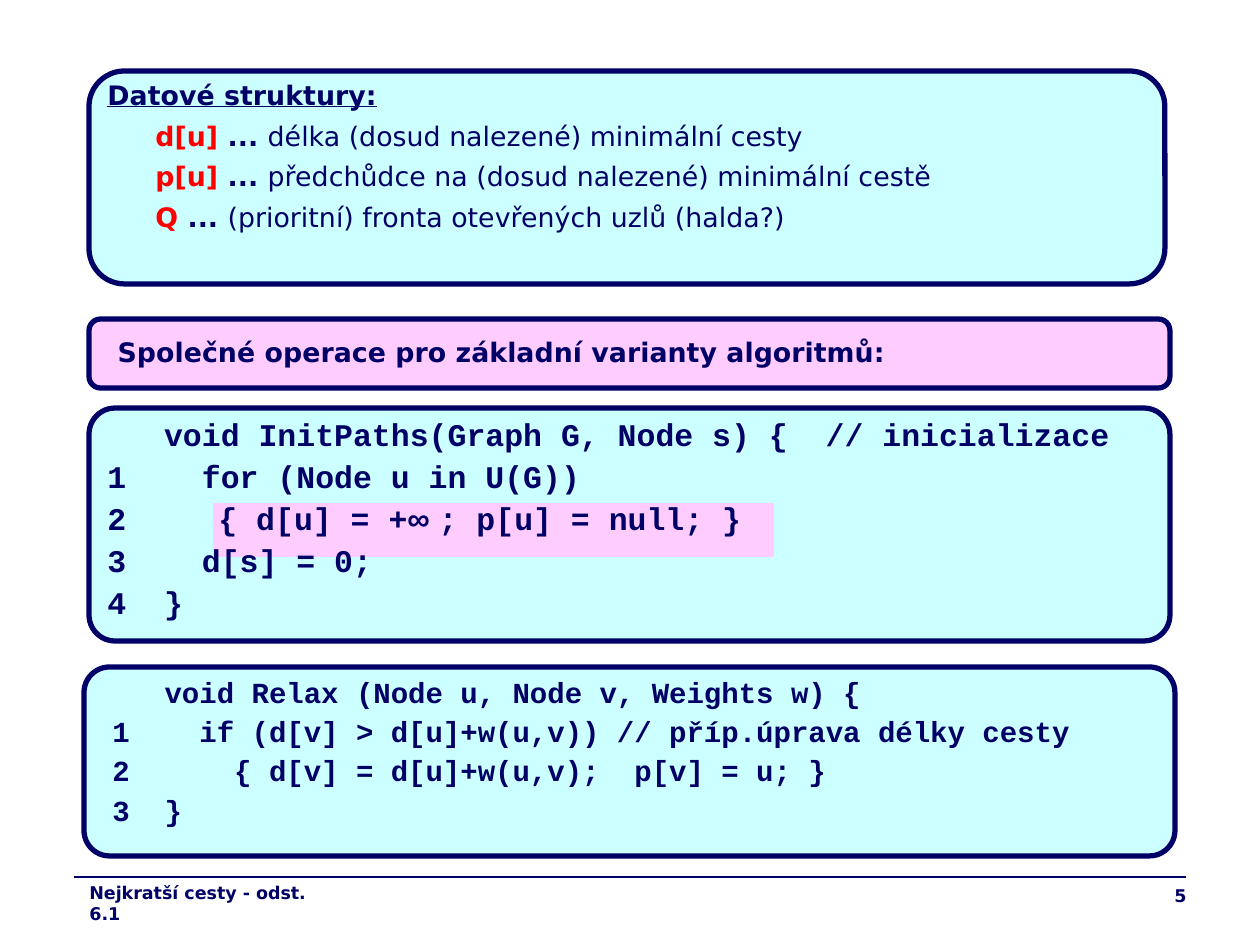
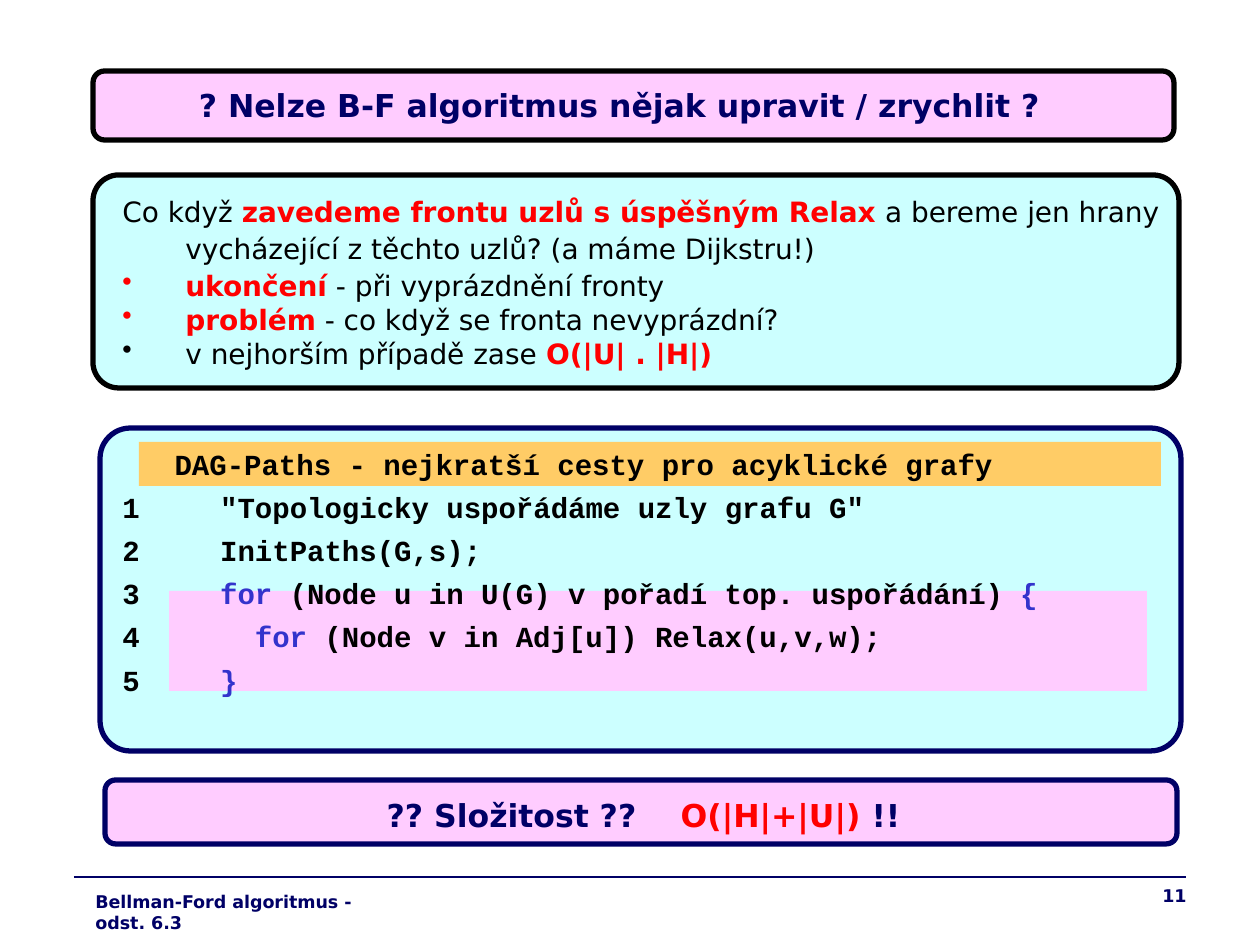
from dataclasses import dataclass
from lxml.etree import SubElement
from pptx import Presentation
from pptx.dml.color import RGBColor
from pptx.enum.shapes import MSO_CONNECTOR as Link, MSO_SHAPE as Shape
from pptx.enum.text import MSO_ANCHOR as Anchor, MSO_AUTO_SIZE as Fit, PP_ALIGN as Align
from pptx.oxml.ns import qn
from pptx.util import Emu, Inches, Pt

PX = 914400 // 126


@dataclass
class Style:
    color: str
    bold: bool = True
    under: bool = False
    font: str = ""
    track: int = 0


class Theme:
    navy, black, red, blue = "000066", "000000", "FF0000", "3333CC"
    cyan, pink, gold = "CCFFFF", "FFCCFF", "FFCC66"
    sans, mono = "DejaVu Sans", "Courier New"
    small, body, text, code, large = 10, 15.3, 16, 16.6, 18
    edge, rule = 3, 0.75
    styles = {
        "navy": Style(navy),
        "soft": Style(navy, bold=False),
        "head": Style(navy, under=True),
        "sign": Style(navy, font="Arial"),
        "gap": Style(navy, track=1900),
        "red": Style(red),
        "black": Style(black),
        "plain": Style(black, bold=False),
        "blue": Style(blue),
    }


RULE = (74, 877, 1186, 877)
NUMBER = (937, 879, 262, 45)

# box: place, fill, edge colour, corner; without a corner it is a plain bar
# text: place, size and paragraphs; a paragraph is a string or (text, style) runs
SLIDES = [
    {
        "boxes": [
            ((84, 667, 1091, 189), Theme.cyan, Theme.navy, 0.135),
            ((89, 408, 1081, 233), Theme.cyan, Theme.navy, 0.112),
            ((89, 319, 1081, 69), Theme.pink, Theme.navy, 0.167),
            ((89, 71, 1076, 213), Theme.cyan, Theme.navy, 0.167),
            ((213, 503, 561, 54), Theme.pink, None, None),
        ],
        "title": {
            "at": (105, 329, 1051, 44), "size": Theme.body,
            "paras": ["Společné operace pro základní varianty algoritmů:"],
        },
        "texts": [
            {
                "at": (95, 76, 1057, 179), "size": Theme.body, "lines": [0.9],
                "before": 6.8, "lefts": [0, 48],
                "paras": [
                    [("Datové struktury:", "head")],
                    [("d[u] ", "red"), ("... ", "navy"),
                     ("délka (dosud nalezené) minimální cesty", "soft")],
                    [("p[u] ", "red"), ("... ", "navy"),
                     ("předchůdce na (dosud nalezené) minimální cestě", "soft")],
                    [("Q ", "red"), ("... ", "navy"),
                     ("(prioritní) fronta otevřených uzlů (halda?)", "soft")],
                ],
            },
            {
                "at": (95, 413, 1032, 233), "size": Theme.large, "font": Theme.mono,
                "lines": [0.9], "before": 4.5, "lefts": [48], "hang": 48,
                "paras": [
                    "   void InitPaths(Graph G, Node s) {  // inicializace",
                    "1    for (Node u in U(G))",
                    [("2\t\t{ d[u] = +", "navy"), ("∞ ", "sign"),
                     ("; p[u] = null; }", "navy")],
                    "3    d[s] = 0;",
                    "4  }",
                ],
            },
            {
                "at": (100, 672, 1091, 184), "size": Theme.code, "font": Theme.mono,
                "lines": [0.9], "before": 4.5, "lefts": [48], "hang": 48,
                "paras": [
                    "   void Relax (Node u, Node v, Weights w) {",
                    "1    if (d[v] > d[u]+w(u,v)) // příp.úprava délky cesty",
                    "2      { d[v] = d[u]+w(u,v);  p[v] = u; }",
                    "3  }",
                ],
            },
        ],
        "footer": ("Nejkratší cesty - odst. 6.1", (77, 876, 246, 34)),
        "number": "5",
    },
    {
        "boxes": [
            ((105, 780, 1072, 64), Theme.pink, Theme.navy, 0.167),
            ((93, 175, 1086, 213), Theme.cyan, Theme.black, 0.121),
            ((93, 71, 1081, 69), Theme.pink, Theme.black, 0.167),
            ((100, 428, 1081, 323), Theme.cyan, Theme.navy, 0.094),
            ((139, 442, 1022, 44), Theme.gold, None, None),
            ((169, 591, 978, 100), Theme.pink, None, None),
        ],
        "title": {
            "at": (84, 84, 1071, 50), "size": Theme.large, "lines": [0.9],
            "align": Align.CENTER,
            "paras": ["? Nelze B-F algoritmus nějak upravit / zrychlit ?"],
        },
        "texts": [
            {
                "at": (110, 433, 1056, 297), "size": Theme.code, "font": Theme.mono,
                "style": "black", "lines": [1.2, 0.9], "before": 6.8,
                "lefts": [63], "hang": 63,
                "paras": [
                    "   DAG-Paths - nejkratší cesty pro acyklické grafy",
                    "1\t  \"Topologicky uspořádáme uzly grafu G\"",
                    "2\t  InitPaths(G,s);",
                    [("3\t  ", "black"), ("for ", "blue"),
                     ("(Node u in U(G) v pořadí top. uspořádání) ", "black"),
                     ("{", "blue")],
                    [("4\t    ", "black"), ("for ", "blue"),
                     ("(Node v in Adj[u]) Relax(u,v,w);", "black")],
                    [("5\t", "black"), ("  }", "blue")],
                ],
            },
            {
                "at": (110, 185, 1066, 203), "size": Theme.text,
                "lines": [1.1, 0.9, 0.8], "before": 4, "lefts": [63], "hang": 63,
                "marks": [None, Theme.red, Theme.red, Theme.black],
                "paras": [
                    [("Co když ", "plain"),
                     ("zavedeme frontu uzlů s úspěšným Relax", "red"),
                     (" a bereme jen hrany vycházející z těchto uzlů? "
                      "(a máme Dijkstru!)", "plain")],
                    [("ukončení", "red"), (" - při vyprázdnění fronty", "plain")],
                    [("problém", "red"),
                     (" - co když se fronta nevyprázdní?", "plain")],
                    [("v nejhorším případě zase ", "plain"),
                     ("O(|U| . |H|)", "red")],
                ],
            },
            {
                "at": (135, 790, 1017, 54), "size": Theme.large,
                "align": Align.CENTER,
                "paras": [[("?? Složitost ??", "navy"), (" ", "gap"),
                           ("O(|H|+|U|)", "red"), (" !!", "navy")]],
            },
        ],
        "footer": ("Bellman-Ford algoritmus - odst. 6.3", (83, 885, 329, 34)),
        "number": "11",
    },
]


def px(*nums):
    return [Emu(n * PX) for n in nums]


def rgb(code):
    return RGBColor.from_string(code)


def pick(items, i):
    """Item i, or the last one when the list is shorter."""
    return items[min(i, len(items) - 1)]


def add_box(slide, at, fill, edge, corner):
    kind = Shape.RECTANGLE if corner is None else Shape.ROUNDED_RECTANGLE
    box = slide.shapes.add_shape(kind, *px(*at))
    box.shadow.inherit = False
    box.fill.solid()
    box.fill.fore_color.rgb = rgb(fill)
    if corner is not None:
        box.adjustments[0] = corner
    if edge:
        box.line.color.rgb = rgb(edge)
        box.line.width = Pt(Theme.edge)
    else:
        box.line.fill.background()


def add_rule(slide):
    line = slide.shapes.add_connector(Link.STRAIGHT, *px(*RULE))
    line.line.color.rgb = rgb(Theme.navy)
    line.line.width = Pt(Theme.rule)
    SubElement(line.element.spPr, qn("a:effectLst"))


def indent(para, left, hang, mark, tabs):
    """Set the margin, hanging indent, bullet and tab stop."""
    props = para._p.get_or_add_pPr()
    props.set("marL", str(left * PX))
    props.set("indent", str(-hang * PX))
    if mark:
        tint = SubElement(props, qn("a:buClr"))
        SubElement(tint, qn("a:srgbClr"), val=mark)
        SubElement(props, qn("a:buChar"), char="•")
    if tabs:
        stops = SubElement(props, qn("a:tabLst"))
        SubElement(stops, qn("a:tab"), pos=str(Inches(1)), algn="l")


def add_run(para, text, name, font, size):
    style = Theme.styles[name]
    run = para.add_run()
    run.text = text
    face = run.font
    face.name = style.font or font
    face.size = Pt(size)
    face.bold = style.bold
    face.underline = style.under
    face.color.rgb = rgb(style.color)
    if style.track:
        run._r.get_or_add_rPr().set("spc", str(style.track))


def fill_text(shape, at, paras, size, font=Theme.sans, style="navy", lines=(1.0,),
              before=0, lefts=(0,), hang=0, marks=(None,), align=Align.LEFT):
    shape.left, shape.top, shape.width, shape.height = px(*at)
    frame = shape.text_frame
    frame.word_wrap = True
    frame.auto_size = Fit.NONE
    frame.vertical_anchor = Anchor.TOP
    for i, runs in enumerate(paras):
        para = frame.add_paragraph() if i else frame.paragraphs[0]
        if isinstance(runs, str):
            runs = [(runs, style)]
        tabs = any("\t" in text for text, _ in runs)
        indent(para, pick(lefts, i), hang, pick(marks, i), tabs)
        para.alignment = align
        para.line_spacing = pick(lines, i)
        para.space_before = Pt(before if i else 0)
        for text, name in runs:
            add_run(para, text, name, font, size)


def add_text(slide, **block):
    fill_text(slide.shapes.add_textbox(*px(*block["at"])), **block)


def build(deck, data):
    slide = deck.slides.add_slide(deck.slide_layouts[5])
    add_rule(slide)
    for box in data["boxes"]:
        add_box(slide, *box)
    title = slide.shapes.title
    slide.shapes.element.append(title.element)
    fill_text(title, **data["title"])
    for block in data["texts"]:
        add_text(slide, **block)
    note, place = data["footer"]
    add_text(slide, at=place, size=Theme.small, paras=[note])
    add_text(slide, at=NUMBER, size=Theme.small, paras=[data["number"]],
             align=Align.RIGHT)


def main():
    deck = Presentation()
    deck.slide_width, deck.slide_height = Inches(10), Inches(7.5)
    for data in SLIDES:
        build(deck, data)
    deck.save("out.pptx")


if __name__ == "__main__":
    main()
